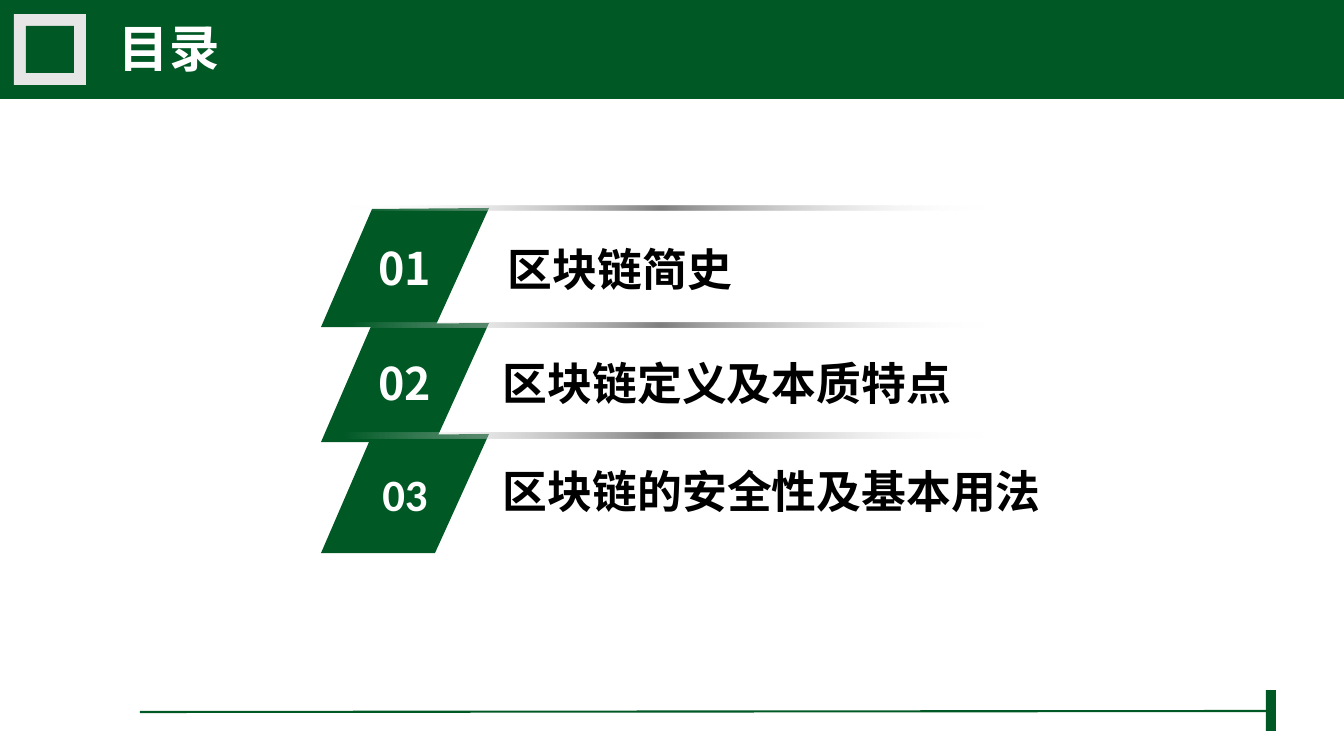
import lxml.etree
import pptx
import pptx.dml.color
import pptx.enum.shapes
import pptx.enum.text
import pptx.oxml
import pptx.oxml.ns
import pptx.util

PX = 914400 / 100.8
THEME = {
    "green": "005825", "frame": "E7E6E6", "white": "FFFFFF", "black": "000000",
    "sheen": "808080", "cjk": "Noto Sans CJK SC", "latin": "Calibri",
    "title": 36, "entry": 32, "rule": 1.5,
}
rgb = {name: pptx.dml.color.RGBColor.from_string(THEME[name])
       for name in ("green", "frame", "white", "black")}
qn = pptx.oxml.ns.qn
rectangle = pptx.enum.shapes.MSO_SHAPE.RECTANGLE

deck = pptx.Presentation()
deck.slide_width, deck.slide_height = pptx.util.Inches(13.333), pptx.util.Inches(7.5)
slide = deck.slides.add_slide(deck.slide_layouts[6])


def block(box, colour):
    shape = slide.shapes.add_shape(rectangle, *(round(length * PX) for length in box))
    shape.shadow.inherit = False
    shape.line.fill.background()
    shape.fill.solid()
    shape.fill.fore_color.rgb = rgb[colour]
    return shape


def write(shape, words, size, colour, face):
    shape.text_frame.word_wrap = True
    paragraph = shape.text_frame.paragraphs[0]
    run = paragraph.add_run()
    run.text = words
    style = {"size": pptx.util.Pt(THEME[size]), "bold": True, "name": THEME[face]}
    for attribute, value in style.items():
        setattr(run.font, attribute, value)
    run.font.color.rgb = rgb[colour]
    east_asian = lxml.etree.SubElement(run._r.get_or_add_rPr(), qn("a:ea"))
    east_asian.set("typeface", THEME["cjk"])
    return paragraph


block((0, 0, 1344, 99), "green")

footer_rule = slide.shapes.add_connector(
    pptx.enum.shapes.MSO_CONNECTOR.STRAIGHT,
    *(round(length * PX) for length in (140, 712, 1266, 711)))
footer_rule.line.color.rgb = rgb["green"]
footer_rule.line.width = pptx.util.Pt(THEME["rule"])
lxml.etree.SubElement(footer_rule._element.spPr, qn("a:effectLst"))

block((1266, 690, 10, 41), "green")
block((14, 14, 72, 71), "frame")
block((26, 26, 48, 47), "green")

entries = [
    ("01", "cjk", 208, (336, 206, 648, 4), "区块链简史", (498, 237, 313, 65)),
    ("02", "cjk", 323, (336, 323, 648, 5), "区块链定义及本质特点", (493, 351, 474, 65)),
    ("03", "latin", 434, (332, 433, 651, 5), "区块链的安全性及基本用法", (493, 459, 568, 65)),
]

for number, face, top, sheen_box, heading, heading_box in entries:
    outline = slide.shapes.build_freeform(321, top + 119, scale=PX)
    outline.add_line_segments([(372, top + 1), (489, top), (435, top + 119)], close=True)
    badge = outline.convert_to_shape()
    badge.shadow.inherit = False
    badge.line.fill.background()
    badge.fill.solid()
    badge.fill.fore_color.rgb = rgb["green"]
    badge.text_frame.vertical_anchor = pptx.enum.text.MSO_ANCHOR.MIDDLE
    label = write(badge, number, "entry", "white", face)
    label.alignment = pptx.enum.text.PP_ALIGN.CENTER

for number, face, top, sheen_box, heading, heading_box in entries:
    sheen = block(sheen_box, "white")
    sheen.rotation = 180
    sheen.fill.gradient()
    sheen.fill.gradient_angle = 180
    stops = sheen._element.spPr.find(".//" + qn("a:gsLst"))
    for stop in list(stops):
        stops.remove(stop)
    for position, colour, alpha in ((2, "white", 0), (50, "sheen", 100), (100, "white", 0)):
        stop = lxml.etree.SubElement(stops, qn("a:gs"), pos=str(position * 1000))
        tint = lxml.etree.SubElement(stop, qn("a:srgbClr"), val=THEME[colour])
        lxml.etree.SubElement(tint, qn("a:alpha"), val=str(alpha * 1000))

captions = [(heading, box, "entry", "black") for *_, heading, box in entries]
captions.append(("目录", (109, 12, 124, 72), "title", "white"))
for words, box, size, colour in captions:
    caption = slide.shapes.add_textbox(*(round(length * PX) for length in box))
    write(caption, words, size, colour, "cjk")

deck.save("out.pptx")
